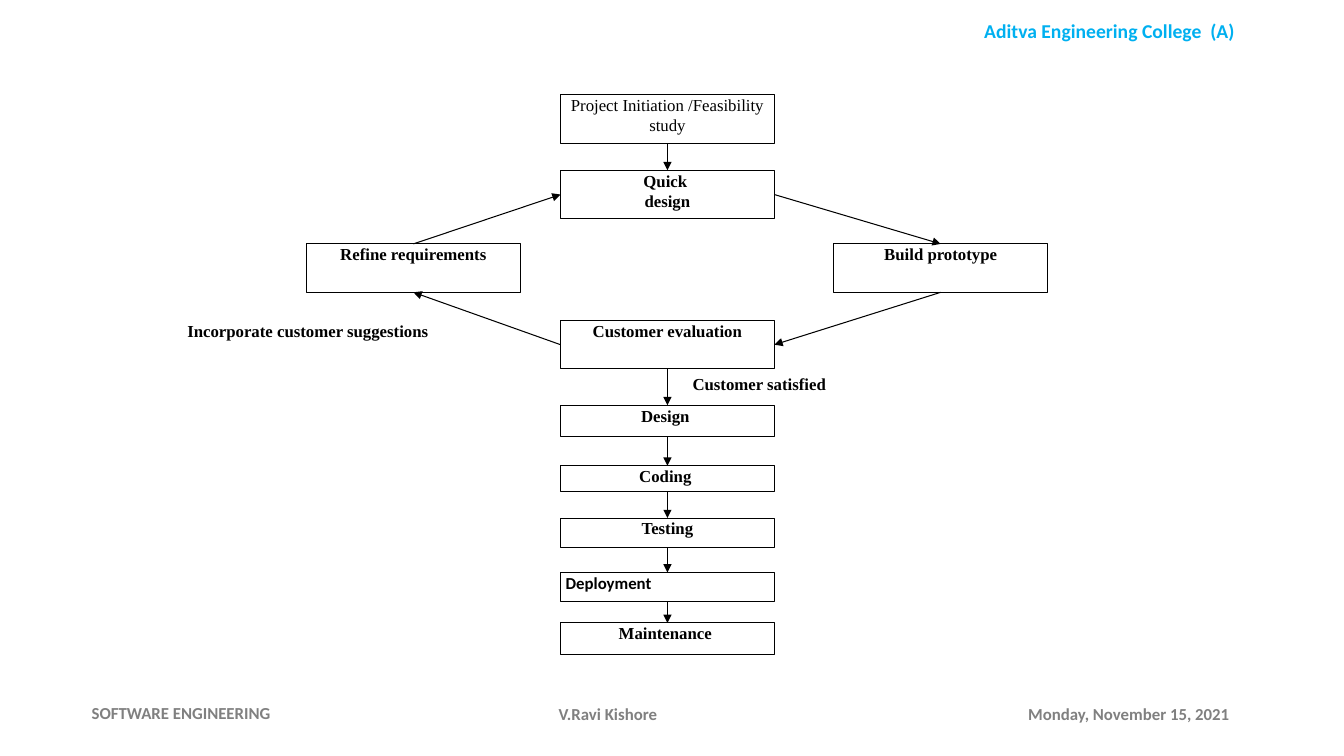
from lxml import etree
from pptx import Presentation
from pptx import util as u
from pptx.dml.color import RGBColor
from pptx.enum import shapes, text
from pptx.oxml.ns import qn

COLORS = {"ink": "000000", "paper": "FFFFFF", "header": "00B0F0", "footer": "808080"}
SERIF, SANS = "Times New Roman", "Calibri"
LEFT, CENTER, JUSTIFY = text.PP_ALIGN.LEFT, text.PP_ALIGN.CENTER, text.PP_ALIGN.JUSTIFY
TOP, MIDDLE = text.MSO_ANCHOR.TOP, text.MSO_ANCHOR.MIDDLE

# wording, (left, top, width, height), alignment, anchor, size, colour
PAGE_TEXTS = [
    ("Aditva Engineering College  (A)", (9.09, 0.14, 3.83, 0.34), CENTER, TOP, 14, "header"),
    ("SOFTWARE ENGINEERING", (0.81, 6.87, 2.11, 0.4), JUSTIFY, MIDDLE, 12, "footer"),
    ("Monday, November 15, 2021", (10.1, 6.88, 2.3, 0.4), LEFT, MIDDLE, 12, "footer"),
    ("V.Ravi Kishore", (4.53, 6.88, 3, 0.4), CENTER, MIDDLE, 12, "footer"),
]

STEP_WIDTH = 2.12
COLUMNS = {"refine": 3.04, "main": 5.56, "build": 8.27}
# name: (wording, column, top, height, format changes)
STEPS = {
    "initiation": ("Project Initiation /Feasibility study", "main", 0.94, 0.48, {"bold": False}),
    "quick": ("Quick \ndesign", "main", 1.69, 0.48, {}),
    "build": ("Build prototype", "build", 2.42, 0.48, {}),
    "refine": ("Refine requirements", "refine", 2.42, 0.48, {}),
    "evaluation": ("Customer evaluation", "main", 3.18, 0.48, {}),
    "design": ("Design ", "main", 4.02, 0.31, {}),
    "coding": ("Coding ", "main", 4.62, 0.26, {}),
    "testing": ("Testing", "main", 5.14, 0.29, {}),
    "deployment": ("Deployment ", "main", 5.68, 0.29, {"name": SANS, "align": LEFT}),
    "maintenance": ("Maintenance ", "main", 6.18, 0.31, {}),
}
# wording, place, alignment, side inset
LABELS = [
    ("Customer satisfied", (6.77, 3.71, 3.75, 0.2), LEFT, 0.1),
    ("Incorporate customer suggestions", (1.5, 3.18, 3.11, 0.53), CENTER, 0),
]

# connection sites of a rectangle
SITE_TOP, SITE_LEFT, SITE_BOTTOM, SITE_RIGHT = range(4)
DELIVERY = ["evaluation", "design", "coding", "testing", "deployment", "maintenance"]
FLOWS = [
    ("initiation", SITE_BOTTOM, "quick", SITE_TOP),
    ("quick", SITE_RIGHT, "build", SITE_TOP),
    ("build", SITE_BOTTOM, "evaluation", SITE_RIGHT),
    ("evaluation", SITE_LEFT, "refine", SITE_BOTTOM),
    ("refine", SITE_TOP, "quick", SITE_LEFT),
] + [(a, SITE_BOTTOM, b, SITE_TOP) for a, b in zip(DELIVERY, DELIVERY[1:])]


def rgb(key):
    """Return the palette colour of that name."""
    return RGBColor.from_string(COLORS[key])


def write(frame, wording, align, color="ink", **font_format):
    """Fill a text frame, one paragraph a line, in one format."""
    frame.word_wrap = True
    for index, line in enumerate(wording.split("\n")):
        paragraph = frame.add_paragraph() if index else frame.paragraphs[0]
        paragraph.alignment = align
        run = paragraph.add_run()
        run.text = line
        run.font.color.rgb = rgb(color)
        for attribute, value in font_format.items():
            setattr(run.font, attribute, value)


def add_box(slide, wording, place, outline="ink", inset=0.05, align=CENTER, **changes):
    """Add a white rectangle with its wording at the top."""
    box = slide.shapes.add_shape(shapes.MSO_SHAPE.RECTANGLE, *map(u.Inches, place))
    box.shadow.inherit = False
    box.fill.solid()
    box.fill.fore_color.rgb = rgb("paper")
    box.line.color.rgb = rgb(outline)
    box.line.width = u.Pt(0.75)
    frame_format = {"margin_left": u.Inches(inset), "margin_right": u.Inches(inset),
                    "margin_top": 0, "margin_bottom": 0, "vertical_anchor": TOP}
    for attribute, value in frame_format.items():
        setattr(box.text_frame, attribute, value)
    font_format = {"name": SERIF, "size": u.Pt(12), "bold": True, **changes}
    write(box.text_frame, wording, align, **font_format)
    return box


def add_arrow(slide, source, source_site, target, target_site):
    """Join two boxes with a thin arrow."""
    arrow = slide.shapes.add_connector(shapes.MSO_CONNECTOR.STRAIGHT, 0, 0, 0, 0)
    arrow.begin_connect(source, source_site)
    arrow.end_connect(target, target_site)
    arrow.line.color.rgb = rgb("ink")
    arrow.line.width = u.Pt(0.75)
    properties = arrow.line._get_or_add_ln()
    etree.SubElement(properties, qn("a:tailEnd"), type="triangle")
    etree.SubElement(properties.getparent(), qn("a:effectLst"))


deck = Presentation()
deck.slide_width, deck.slide_height = u.Inches(13.33), u.Inches(7.5)
slide = deck.slides.add_slide(deck.slide_layouts[6])

for wording, place, align, anchor, size, color in PAGE_TEXTS:
    page_text = slide.shapes.add_textbox(*map(u.Inches, place))
    page_text.text_frame.vertical_anchor = anchor
    write(page_text.text_frame, wording, align, color, name=SANS, size=u.Pt(size), bold=True)

steps = {
    name: add_box(slide, wording, (COLUMNS[column], top, STEP_WIDTH, height), **changes)
    for name, (wording, column, top, height, changes) in STEPS.items()
}
for source, source_site, target, target_site in FLOWS:
    add_arrow(slide, steps[source], source_site, steps[target], target_site)
for wording, place, align, inset in LABELS:
    add_box(slide, wording, place, outline="paper", inset=inset, align=align)

deck.save("out.pptx")
